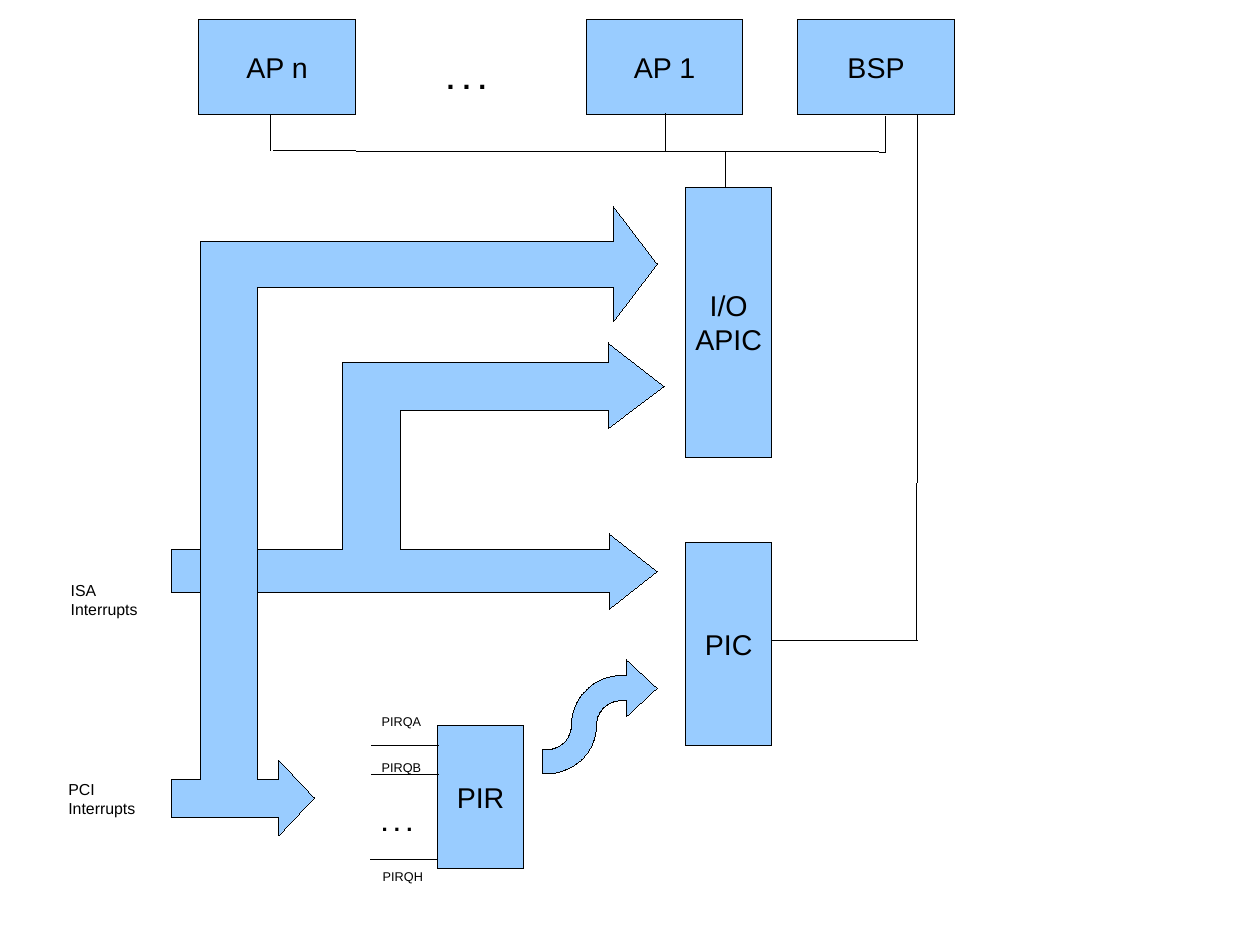
"""Draw how ISA and PCI interrupts reach the processors through the PIC and I/O APIC."""
from math import cos, radians, sin

from lxml import etree
from pptx import Presentation, util as u
from pptx.dml.color import RGBColor
from pptx.enum import shapes, text
from pptx.oxml.ns import qn

BLUE = RGBColor(0x99, 0xCC, 0xFF)
BLACK = RGBColor(0, 0, 0)
FONT = "Arial"
HAIR = u.Pt(0.01)
PAGE = u.Cm(28), u.Cm(21)

CPU_TOP, CPU_WIDE, CPU_HIGH = 0.17, 1.37, 0.83
CPUS = [("AP 1", 5.13), ("BSP", 6.98), ("AP n", 1.74)]
CHIP_WIDE = 0.75
CHIPS = [("PIR", 3.83, 6.35, 1.25), ("PIC", 6, 4.75, 1.77),
         ("I/O\vAPIC", 6, 1.64, 2.36)]
LABELS = [
    (". . .", 3.24, 7.03, 0.55, 0.32, 14, True),
    ("PIRQA", 3.24, 6.2, 0.55, 0.22, 8, False),
    ("PIRQB", 3.24, 6.6, 0.55, 0.22, 8, False),
    ("PIRQH", 3.25, 7.55, 0.79, 0.22, 8, False),
    ("PCI Interrupts", 0.5, 6.77, 1, 0.41, 10, False),
    ("ISA Interrupts", 0.52, 5.03, 1, 0.41, 10, False),
    (". . .", 3.81, 0.48, 0.87, 0.38, 18, True),
]
WIRES = [
    (3.84, 6.52, 3.25, 6.52), (3.84, 6.78, 3.25, 6.78), (3.83, 7.52, 3.24, 7.52),
    (2.39, 1.32, 7.74, 1.33), (2.37, 1.32, 2.37, 1), (5.82, 1.32, 5.82, 0.99),
    (7.75, 1.33, 7.75, 1.02), (6.35, 1.63, 6.35, 1.33),
    (6.75, 5.6, 8.03, 5.6), (8.02, 5.6, 8.03, 1),
]
ISA = [(1.5, 4.81), (3, 4.81), (3, 3.17), (5.32, 3.17), (5.32, 3), (5.81, 3.38),
       (5.32, 3.75), (5.32, 3.59), (3.5, 3.59), (3.5, 4.81), (5.33, 4.81),
       (5.33, 4.67), (5.75, 5), (5.33, 5.33), (5.33, 5.18), (1.5, 5.18)]
PCI = [(1.5, 6.82), (1.75, 6.82), (1.75, 2.11), (5.37, 2.11), (5.37, 1.81),
       (5.75, 2.31), (5.37, 2.81), (5.37, 2.52), (2.25, 2.52), (2.25, 6.82),
       (2.44, 6.82), (2.44, 6.65), (2.75, 6.98), (2.44, 7.31), (2.44, 7.15),
       (1.5, 7.15)]


def arc(x, y, wide, high, start, end, steps=24):
    turns = [radians(start + (end - start) * i / steps) for i in range(steps + 1)]
    return [(x + wide * cos(t), y + high * sin(t)) for t in turns]


BEND = (arc(5.44, 6.34, 0.44, 0.43, 270, 180) + arc(4.78, 6.34, 0.22, 0.22, 0, 90)
        + [(4.75, 6.56), (4.75, 6.77)]
        + arc(4.78, 6.34, 0.44, 0.43, 90, 0) + arc(5.44, 6.34, 0.22, 0.21, 180, 270)
        + [(5.48, 6.13), (5.48, 6.27), (5.75, 6.02), (5.48, 5.77), (5.48, 5.91)])


def write(frame, words, size, bold=False):
    frame.text = words
    para = frame.paragraphs[0]
    para.font.name, para.font.size, para.font.bold = FONT, u.Pt(size), bold
    para.font.color.rgb = BLACK
    return para


def ink(line):
    line.color.rgb = BLACK
    line.width = HAIR


def paint(shape):
    shape.shadow.inherit = False
    shape.fill.solid()
    shape.fill.fore_color.rgb = BLUE
    ink(shape.line)


def box(slide, words, *place):
    shape = slide.shapes.add_shape(shapes.MSO_SHAPE.RECTANGLE, *map(u.Inches, place))
    paint(shape)
    frame = shape.text_frame
    frame.word_wrap = False
    frame.vertical_anchor = text.MSO_ANCHOR.MIDDLE
    write(frame, words, 18).alignment = text.PP_ALIGN.CENTER


def label(slide, words, left, top, wide, high, size, bold):
    place = map(u.Inches, (left, top, wide, high))
    frame = slide.shapes.add_textbox(*place).text_frame
    frame.word_wrap = True
    frame.auto_size = text.MSO_AUTO_SIZE.SHAPE_TO_FIT_TEXT
    write(frame, words, size, bold)


def wire(slide, ends):
    line = slide.shapes.add_connector(shapes.MSO_CONNECTOR.STRAIGHT, *map(u.Inches, ends))
    ink(line.line)
    etree.SubElement(line._element.spPr, qn("a:effectLst"))


def arrow(slide, points):
    first, *rest = [(u.Inches(x), u.Inches(y)) for x, y in points]
    path = slide.shapes.build_freeform(*first, scale=1.0)
    path.add_line_segments(rest, close=True)
    paint(path.convert_to_shape())


def main():
    deck = Presentation()
    deck.slide_width, deck.slide_height = PAGE
    slide = deck.slides.add_slide(deck.slide_layouts[6])
    for words, left, top, high in CHIPS:
        box(slide, words, left, top, CHIP_WIDE, high)
    for points in (BEND, ISA, PCI):
        arrow(slide, points)
    for words, left in CPUS:
        box(slide, words, left, CPU_TOP, CPU_WIDE, CPU_HIGH)
    for ends in WIRES:
        wire(slide, ends)
    for item in LABELS:
        label(slide, *item)
    deck.save("out.pptx")


if __name__ == "__main__":
    main()
